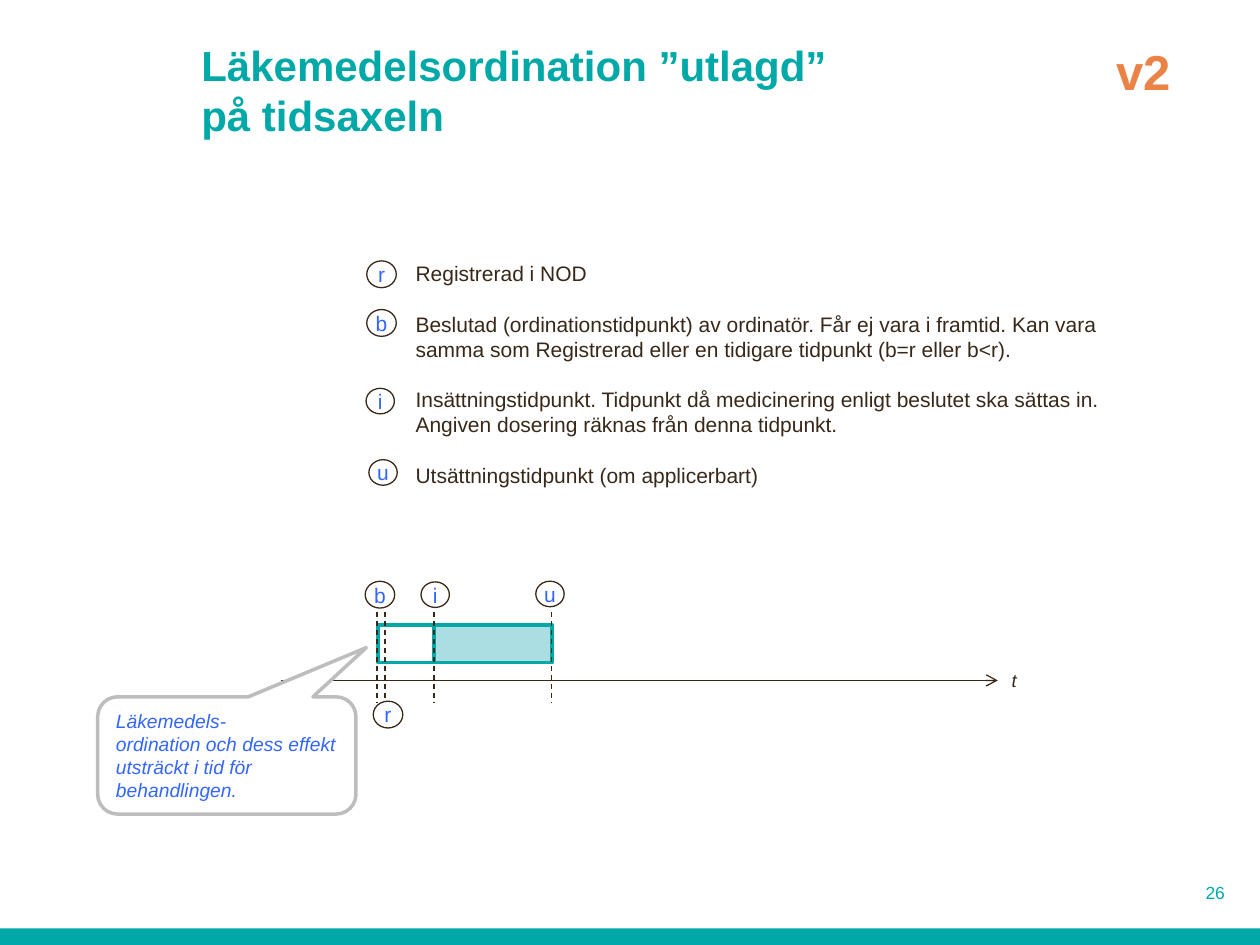
import pptx
import pptx.util
import pptx.dml.color
import pptx.enum.dml
import pptx.enum.shapes
import pptx.enum.text
import pptx.oxml
import pptx.oxml.ns
from dataclasses import dataclass

Pt = pptx.util.Pt
RGB = pptx.dml.color.RGBColor.from_string
SHAPE = pptx.enum.shapes.MSO_SHAPE
ALIGN = pptx.enum.text.PP_ALIGN
ANCHOR = pptx.enum.text.MSO_ANCHOR


@dataclass(frozen=True)
class Theme:
    font: str = "Arial"
    teal: str = "00A9A7"
    pale: str = "AADEE2"
    white: str = "FFFFFF"
    ink: str = "382819"
    blue: str = "3366FF"
    grey: str = "BDBDBD"
    orange: str = "EB8246"
    title: float = 24
    version: float = 28
    body: float = 12
    callout: float = 11
    axis: float = 10.5
    number: float = 10


T = Theme()

prs = pptx.Presentation()
prs.slide_width, prs.slide_height = Pt(720), Pt(540)
s = prs.slides.add_slide(prs.slide_layouts[6])


def add_box(kind, x, y, w, h, fill=None, line=None, width=0.75):
    """Add a preset shape, or a text box when kind is None."""
    at = Pt(x), Pt(y), Pt(w), Pt(h)
    if kind is None:
        sp = s.shapes.add_textbox(*at)
    else:
        sp = s.shapes.add_shape(kind, *at)
        sp.shadow.inherit = False
        sp.fill.solid()
        sp.fill.fore_color.rgb = RGB(fill)
        if line:
            sp.line.color.rgb = RGB(line)
            sp.line.width = Pt(width)
        else:
            sp.line.fill.background()
    sp.text_frame.word_wrap = True
    return sp


def write(sp, text, size, color, align=ALIGN.LEFT, anchor=ANCHOR.TOP,
          bold=False, italic=False, gap=0):
    """Fill a shape with text and format every run alike."""
    tf = sp.text_frame
    tf.text = text
    tf.vertical_anchor = anchor
    for n, p in enumerate(tf.paragraphs):
        p.alignment = align
        p.space_before = Pt(gap if n else 0)
        for r in p.runs:
            f = r.font
            f.name, f.size, f.bold, f.italic = T.font, Pt(size), bold, italic
            f.color.rgb = RGB(color)


# Footer band, title, page number
add_box(SHAPE.RECTANGLE, 0, 530.6, 720, 9.4, T.teal)
write(add_box(None, 108, 28.8, 535, 54.7), "Läkemedelsordination ”utlagd”\vpå tidsaxeln",
      T.title, T.teal, anchor=ANCHOR.BOTTOM, bold=True)
write(add_box(None, 658, 500.4, 49, 17.3), "26", T.number, T.teal, ALIGN.RIGHT)

# Treatment period: decided, then in effect
bar_y, bar_h = 357.1, 21.6
add_box(SHAPE.RECTANGLE, 247.9, bar_y, 67.7, bar_h, T.pale, T.teal, 2)
add_box(SHAPE.RECTANGLE, 216, bar_y, 32.2, bar_h, T.white, T.teal, 2)

# Time axis and dashed time marks: x1, y1, x2, y2
axis = (160.6, 388.8, 570.2, 388.8)
marks = [(x, 349.7, x, 401.8) for x in (215.4, 220, 248, 315.2)]
for x1, y1, x2, y2 in [axis] + marks:
    c = s.shapes.add_connector(pptx.enum.shapes.MSO_CONNECTOR.STRAIGHT,
                               Pt(x1), Pt(y1), Pt(x2), Pt(y2))
    c.line.color.rgb = RGB(T.ink)
    c.line.width = Pt(0.75)
    spPr = c._element.spPr
    spPr.append(pptx.oxml.parse_xml(
        "<a:effectLst %s/>" % pptx.oxml.ns.nsdecls("a")))
    if y1 == y2:
        c.line._get_or_add_ln().append(pptx.oxml.parse_xml(
            '<a:tailEnd type="arrow" %s/>' % pptx.oxml.ns.nsdecls("a")))
    else:
        c.line.dash_style = pptx.enum.dml.MSO_LINE.DASH
write(add_box(None, 571, 378.7, 22.3, 20.2), "t", T.axis, T.ink, italic=True)

# Lettered circles on the time axis and in the legend
wide, narrow = (16.9, 15.3), (16.2, 14.6)
circles = [
    ("b", 208.7, 332.2, wide), ("i", 240.6, 332.5, narrow),
    ("u", 306.2, 332.1, narrow), ("r", 213.3, 400.7, wide),
    ("r", 209.6, 149.1, wide), ("b", 209.6, 176.9, wide),
    ("i", 209.2, 221.9, narrow), ("u", 210.8, 262.7, narrow),
]
for letter, x, y, (w, h) in circles:
    sp = add_box(SHAPE.OVAL, x, y, w, h, T.white, T.ink)
    tf = sp.text_frame
    tf.margin_left = tf.margin_right = tf.margin_top = tf.margin_bottom = 0
    write(sp, letter, T.body, T.blue, ALIGN.CENTER, ANCHOR.MIDDLE)

# Legend
legend = [
    "Registrerad i NOD",
    "Beslutad (ordinationstidpunkt) av ordinatör. Får ej vara i framtid. "
    "Kan vara samma som Registrerad eller en tidigare tidpunkt (b=r eller b<r).",
    "Insättningstidpunkt. Tidpunkt då medicinering enligt beslutet ska sättas in. "
    "Angiven dosering räknas från denna tidpunkt.",
    "Utsättningstidpunkt (om applicerbart)",
]
write(add_box(None, 230.4, 145.4, 421.2, 138.2), "\n".join(legend),
      T.body, T.ink, gap=14.4)

# Callout
sp = add_box(SHAPE.ROUNDED_RECTANGULAR_CALLOUT, 55.8, 398.2, 147.6, 67,
             T.white, T.grey, 2)
for n, value in enumerate((0.54, -0.92, 0.17)):
    sp.adjustments[n] = value
write(sp, "Läkemedels-\vordination och dess effekt\nutsträckt i tid för behandlingen.",
      T.callout, T.blue, italic=True)

# Version mark
write(add_box(None, 607.7, 20.2, 91.4, 41), "v2", T.version, T.orange,
      ALIGN.CENTER, bold=True)

prs.save("out.pptx")
